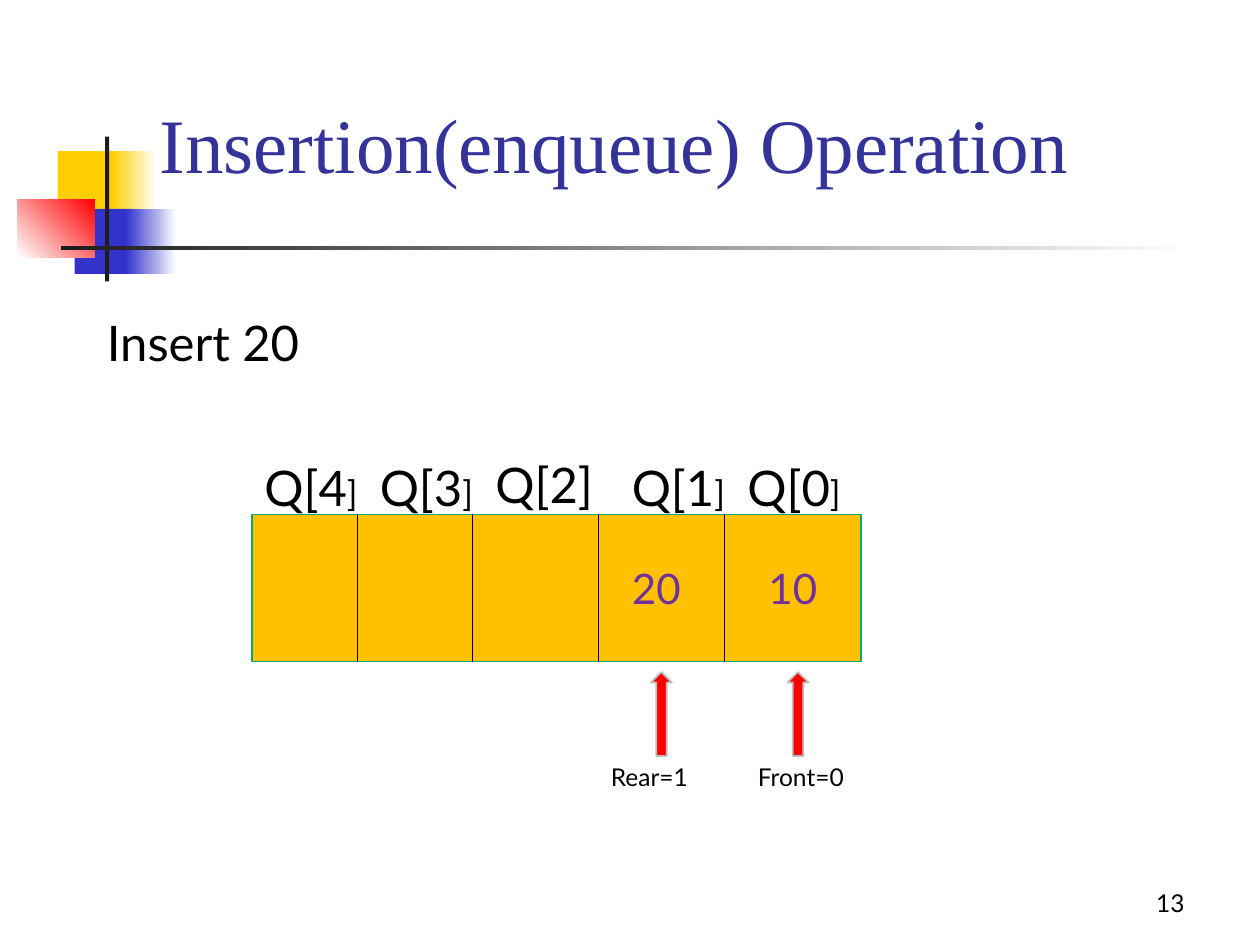
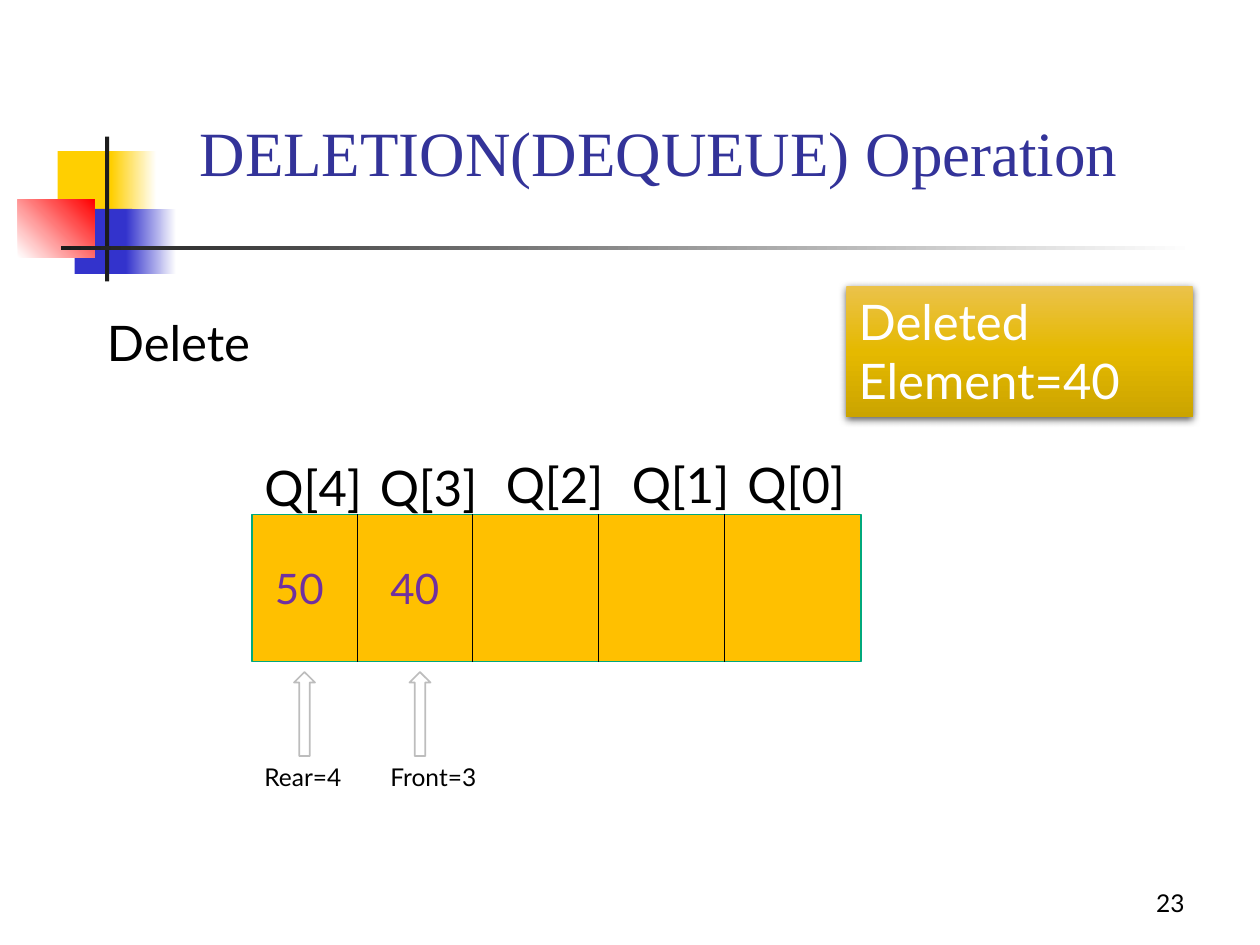
from lxml import etree
from pptx import Presentation
from pptx import util as u
from pptx.dml.color import RGBColor
from pptx.enum import shapes, text
from pptx.oxml import ns

PX = 7620
BLACK, WHITE, NAVY, PURPLE = "000000", "FFFFFF", "333399", "7030A0"
GOLD, BLUE, RED, DARK = "FFCF01", "3333CC", "FF0000", "1C1C1C"
BODY, HEAD = "Lato", "Times New Roman"
KIND = shapes.MSO_SHAPE


def block(page, box, fills, line=None, kind=KIND.RECTANGLE, turn=0):
    item = page.shapes.add_shape(kind, *[n * PX for n in box])
    item.shadow.inherit = False
    if len(fills) == 1:
        item.fill.solid()
        item.fill.fore_color.rgb = RGBColor.from_string(fills[0])
    else:
        item.fill.gradient()
        item.fill.gradient_angle = turn
        stops = item.element.find(".//" + ns.qn("a:gsLst"))
        for old in list(stops):
            stops.remove(old)
        for i, tint in enumerate(fills):
            stop = etree.SubElement(stops, ns.qn("a:gs"), pos=str(100000 * i // (len(fills) - 1)))
            etree.SubElement(stop, ns.qn("a:srgbClr"), val=tint)
    if line:
        item.line.color.rgb = RGBColor.from_string(line)
        item.line.width = u.Pt(1)
    else:
        item.line.fill.background()
    return item


def write(item, words, size, tint=BLACK, font=BODY, side="LEFT", hold="TOP"):
    frame = item.text_frame
    frame.text = words
    frame.word_wrap = True
    frame.auto_size = text.MSO_AUTO_SIZE.NONE
    frame.vertical_anchor = text.MSO_ANCHOR[hold]
    para = frame.paragraphs[0]
    para.alignment = text.PP_ALIGN[side]
    run = para.runs[0]
    run.font.size = u.Pt(size)
    run.font.name = font
    run.font.color.rgb = RGBColor.from_string(tint)
    return run


DECOR = [
    ((55, 144, 58, 62), [GOLD], 0),
    ((106, 144, 43, 62), [GOLD, WHITE], 0),
    ((71, 199, 55, 62), [BLUE], 0),
    ((120, 199, 48, 62), [BLUE, WHITE], 0),
    ((17, 190, 73, 55), [WHITE, RED], 45),
    ((100, 130, 4, 138), [DARK], 0),
    ((58, 234, 1080, 4), [DARK, WHITE], 0),
]

SLIDES = [
    dict(
        title="Insertion(enqueue) Operation", size=44, box=(140, 16, 910, 170),
        task="Insert 20", page="13", arrow=RED, small=["Q[4]", "Q[3]", "Q[1]", "Q[0]"],
        cells=[("Q[4]", 240, 430), ("Q[3]", 350, 430), ("Q[2]", 460, 427),
               ("Q[1]", 590, 430), ("Q[0]", 700, 430)],
        ends=[("20", 630, "Rear=1", 570), ("10", 760, "Front=0", 710)], gone=None),
    dict(
        title="DELETION(DEQUEUE) Operation", size=36, box=(178, 16, 984, 170),
        task="Delete", page="23", arrow=WHITE, small=[],
        cells=[("Q[4]", 240, 430), ("Q[3]", 350, 430), ("Q[2]", 470, 427),
               ("Q[1]", 590, 427), ("Q[0]", 700, 427)],
        ends=[("50", 290, "Rear=4", 240), ("40", 400, "Front=3", 360)],
        gone="Deleted Element=40"),
]

deck = Presentation()
deck.slide_width = 1200 * PX
deck.slide_height = 900 * PX
plain = deck.slide_layouts[5]

for n, data in enumerate(SLIDES):
    page = deck.slides.add_slide(plain)
    if n == 0:
        for i, (box, fills, turn) in enumerate(DECOR):
            part = block(page, box, fills, turn=turn).element
            part.nvSpPr.cNvPr.set("id", str(50 + i))
            plain.shapes.element.append(part)

    title = page.shapes.title
    title.left, title.top, title.width, title.height = [v * PX for v in data["box"]]
    write(title, data["title"], data["size"], NAVY, HEAD, hold="BOTTOM")

    block(page, (240, 490, 580, 140), ["FFC000"], "00A97C")
    for x in (340, 450, 570, 690):
        rule = page.shapes.add_connector(shapes.MSO_CONNECTOR.STRAIGHT, x * PX, 490 * PX, x * PX, 630 * PX)
        rule.line.color.rgb = RGBColor.from_string(BLACK)
        rule.line.width = u.Pt(0.5)
        etree.SubElement(rule.element.spPr, ns.qn("a:effectLst"))

    notes = [(data["task"], (90, 292, 500, 68), 28, BLACK)]
    for name, x, y in data["cells"]:
        notes.append((name, (x, y, 130, 68), 28, BLACK))
    for value, mid, label, x in data["ends"]:
        block(page, (mid - 10, 640, 20, 80), [data["arrow"]], "BDBDBD", KIND.UP_ARROW)
        notes.append((value, (mid - 40, 530, 80, 60), 24, PURPLE))
        notes.append((label, (x, 720, 110, 41), 14, BLACK))
    for words, box, size, tint in notes:
        spot = page.shapes.add_textbox(*[v * PX for v in box])
        run = write(spot, words, size, tint)
        if words in data["small"]:
            run.text = words[:-1]
            tail = spot.text_frame.paragraphs[0].add_run()
            tail.text = words[-1]
            tail.font.size = u.Pt(20)
            tail.font.name = BODY
            tail.font.color.rgb = RGBColor.from_string(tint)

    if data["gone"]:
        card = block(page, (806, 272, 330, 125), ["EBC24B", "E5B900", "CBA400"], turn=270)
        write(card, data["gone"], 28, WHITE)
        glow = etree.SubElement(
            card.element.spPr.find(ns.qn("a:effectLst")), ns.qn("a:outerShdw"),
            blurRad="57150", dist="19050", dir="5400000", algn="ctr", rotWithShape="0")
        ink = etree.SubElement(glow, ns.qn("a:srgbClr"), val=BLACK)
        etree.SubElement(ink, ns.qn("a:alpha"), val="63000")

    foot = page.shapes.add_textbox(860 * PX, 820 * PX, 280 * PX, 60 * PX)
    write(foot, data["page"], 14, side="RIGHT", hold="BOTTOM")

deck.save("out.pptx")
